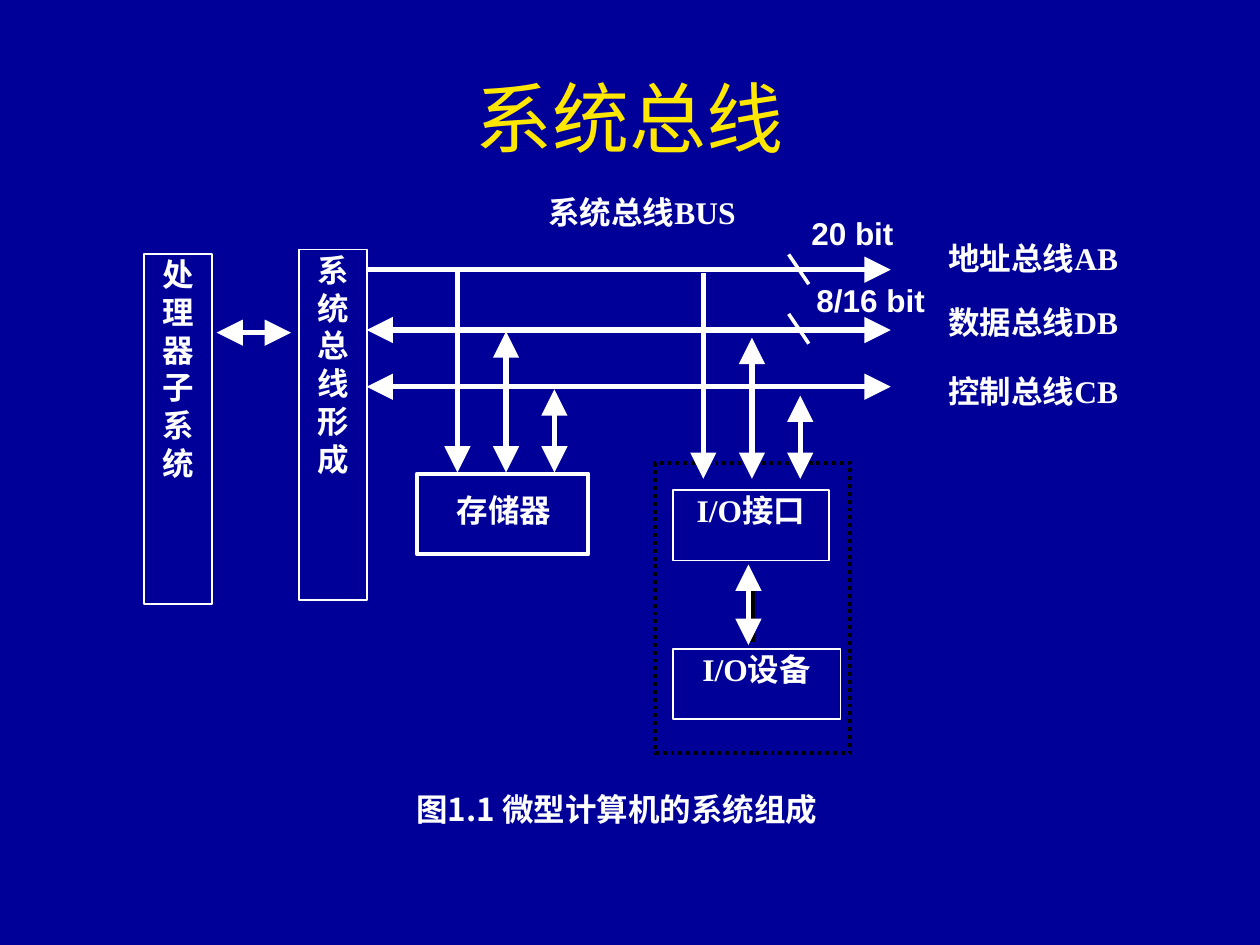
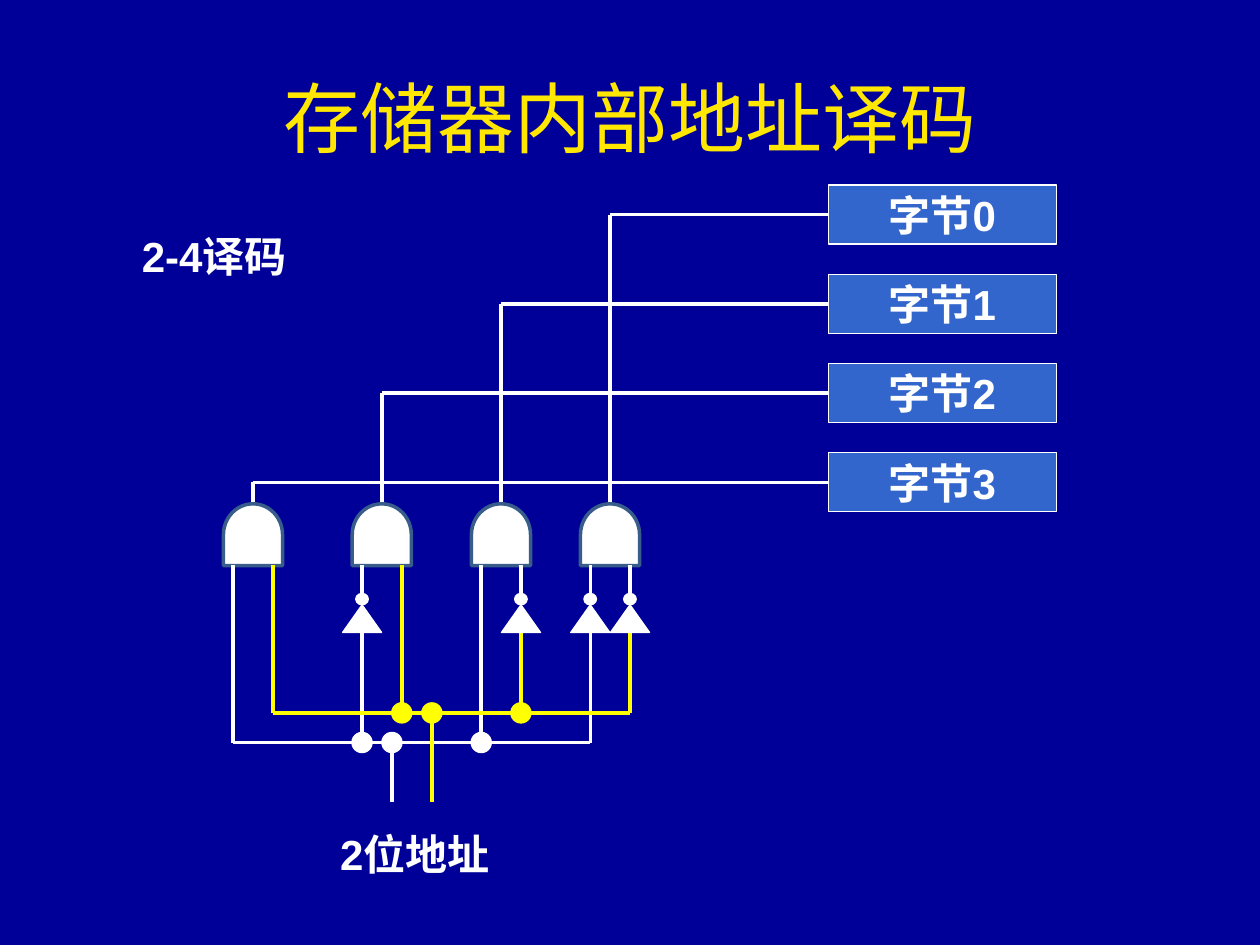
from lxml.etree import SubElement
from pptx import Presentation
from pptx.dml.color import RGBColor
from pptx.enum.dml import MSO_LINE
from pptx.enum.shapes import MSO_CONNECTOR, MSO_SHAPE
from pptx.enum.text import MSO_ANCHOR, MSO_AUTO_SIZE, PP_ALIGN
from pptx.oxml.ns import qn
from pptx.util import Pt

NAVY, GOLD, WHITE, BLACK = "000099", "FFE701", "FFFFFF", "000000"
BLUE, YELLOW, STEEL = "3366CC", "FFFF00", "385D8A"
SERIF, SANS, CJK = "Times New Roman", "Arial", "Noto Sans CJK SC"
THIN, WIRE, BUS = 0.75, 2, 3

# Slide 1: (text, (left, top, width, height))
BUS_TITLE = "系统总线"
BUS_LABELS = [
    ("系统总线BUS", (290.9, 109.4, 151.9, 41.8)),
    ("地址总线AB", (520.6, 135.7, 139.7, 41.8)),
    ("数据总线DB", (520.6, 172.4, 139.7, 41.8)),
    ("控制总线CB", (520.6, 211.7, 139.7, 41.8)),
    ("存储器", (246.2, 280.1, 83.5, 40.3)),
]
UNITS = [
    ("\n".join("处理器子系统"), (82.3, 145, 38.9, 200.2)),
    ("\n".join("系统总线形成"), (170.9, 142.6, 38.9, 200.2)),
    ("I/O接口", (384.5, 280.1, 89.3, 40.3)),
    ("I/O设备", (384.5, 370.8, 95.8, 40.3)),
]
CAPTION = ("图1.1 微型计算机的系统组成", (180.7, 451, 343.4, 46.1))
BIT_WIDTHS = [
    ("20 bit", (456.5, 118.8, 61.2, 28.8)),
    ("8/16 bit", (459.4, 156.8, 76.3, 28.8)),
]
MEMORY_FRAME = (238.3, 270.7, 97.9, 46.1)
IO_FRAME = (374.4, 264.7, 111.6, 165.6)
BUS_LEFT, BUS_RIGHT = 209.5, 509
BUS_LINES = [(154.1, False), (188.6, True), (221, True)]  # y, two-way
TAPS = [(261.4, 152.6, False), (289.2, 189.4, True), (316.8, 222.5, True)]  # x, top, two-way
TAP_GROUPS = [(0, 0, 270), (140.5, 3.6, 273.6)]  # shift right, shift down, bottom
SLASH_TOPS = [145.4, 179.4]

# Slide 2
DECODER_TITLE = "存储器内部地址译码"
DECODER_LABELS = [
    ("2-4译码", (74, 128.2, 103, 36)),
    ("2位地址", (187.2, 469.7, 106, 36)),
]
GATE_CENTRES = [348.6, 286.3, 218.2, 144.6]  # by byte number
BYTE_LEFT, BYTE_TOP, BYTE_STEP, BYTE_WIDTH, BYTE_HEIGHT = 473.3, 105.7, 51, 130.3, 33.8
GATE_LENGTH, GATE_WIDTH, GATE_MIDDLE = 35.3, 33.8, 305.5
GATE_TOP, GATE_BOTTOM = 287.3, 322.6
BUBBLE_TOP, INVERTER_TOP, INVERTER_BOTTOM, PIN_BOTTOM = 339.1, 345.6, 361.8, 458.3
# colour, offset from the gate centre, y of the shared wire, x of the address pin
ADDRESS_BITS = [(WHITE, -11.3, 424.3, 224), (YELLOW, 11.4, 407.4, 246.8)]


def colour(value):
    return RGBColor.from_string(value)


def write(shape, text, size, font, ink=WHITE, bold=True, align=PP_ALIGN.CENTER,
          anchor=MSO_ANCHOR.TOP, inset=(0.72, 0.72), wrap=True):
    frame = shape.text_frame
    frame.text = text
    frame.word_wrap = wrap
    frame.vertical_anchor = anchor
    frame.margin_left = frame.margin_right = Pt(inset[0])
    frame.margin_top = frame.margin_bottom = Pt(inset[1])
    for para in frame.paragraphs:
        para.alignment = align
        for span in para.runs:
            span.font.size, span.font.name, span.font.bold = Pt(size), font, bold
            span.font.color.rgb = colour(ink)


def add_text(page, text, place, size, font, **style):
    box = page.shapes.add_textbox(*map(Pt, place))
    write(box, text, size, font, **style)
    return box


def add_label(page, text, place, size):
    """Place a one-line sans label, left aligned, in a box that grows with it."""
    box = add_text(page, text, place, size, SANS, align=PP_ALIGN.LEFT,
                   inset=(7.2, 3.6), wrap=False)
    box.text_frame.auto_size = MSO_AUTO_SIZE.SHAPE_TO_FIT_TEXT


def add_shape(page, kind, place, fill=None, line=WHITE, width=THIN):
    shape = page.shapes.add_shape(kind, *map(Pt, place))
    shape.shadow.inherit = False
    if fill:
        shape.fill.solid()
        shape.fill.fore_color.rgb = colour(fill)
    else:
        shape.fill.background()
    shape.line.color.rgb = colour(line)
    shape.line.width = Pt(width)
    return shape


def add_line(page, start, end, ink=WHITE, width=WIRE, ends=()):
    """Draw a straight line; ends names the arrowheads, headEnd and/or tailEnd."""
    line = page.shapes.add_connector(MSO_CONNECTOR.STRAIGHT, *map(Pt, (*start, *end)))
    line.line.color.rgb = colour(ink)
    line.line.width = Pt(width)
    properties = line.element.spPr
    for name in ends:
        SubElement(properties.find(qn("a:ln")), qn("a:" + name),
                   type="triangle", w="lg", len="lg")
    SubElement(properties, qn("a:effectLst"))


def add_arrow(page, start, end, two_way=True, ink=WHITE):
    ends = ("headEnd", "tailEnd") if two_way else ("tailEnd",)
    add_line(page, start, end, ink, BUS, ends)


def add_dot(page, x, y, ink, size=11.5):
    add_shape(page, MSO_SHAPE.OVAL, (x - size / 2, y - size / 2, size, size), ink, ink)


def add_page(deck, title):
    page = deck.slides.add_slide(deck.slide_layouts[6])
    page.background.fill.solid()
    page.background.fill.fore_color.rgb = colour(NAVY)
    add_text(page, title, (36, 21.6, 648, 90), 44, SANS, ink=GOLD, bold=False,
             anchor=MSO_ANCHOR.MIDDLE, inset=(7.2, 3.6))
    return page


def build_bus_page(deck):
    page = add_page(deck, BUS_TITLE)
    add_text(page, *CAPTION, 18, CJK)
    for text, place in BUS_LABELS:
        add_text(page, text, place, 18, SERIF)
    for text, place in UNITS:
        write(add_shape(page, MSO_SHAPE.RECTANGLE, place, width=1), text, 18, SERIF)
    io_frame = add_shape(page, MSO_SHAPE.RECTANGLE, IO_FRAME, line=BLACK, width=2.25)
    io_frame.line.dash_style = MSO_LINE.ROUND_DOT
    add_shape(page, MSO_SHAPE.RECTANGLE, MEMORY_FRAME, width=2.25)

    for y, two_way in BUS_LINES:
        add_arrow(page, (BUS_LEFT, y), (BUS_RIGHT, y), two_way)
    add_arrow(page, (166.3, 190.1), (123.8, 190.1))
    for right, down, bottom in TAP_GROUPS:
        for x, top, two_way in TAPS:
            add_arrow(page, (x + right, top + down), (x + right, bottom), two_way)
    # A black line shows as a thin edge beside the white arrow.
    add_line(page, (429.8, 337), (429.8, 367), BLACK, BUS)
    add_arrow(page, (427.7, 322.6), (427.7, 368.6))
    for top in SLASH_TOPS:
        add_line(page, (450.7, top), (462.2, top + 17))
    for text, place in BIT_WIDTHS:
        add_label(page, text, place, 18)


def add_inverter(page, x):
    add_shape(page, MSO_SHAPE.ISOSCELES_TRIANGLE, (x - 11.15, INVERTER_TOP, 22.3, 15.8), WHITE)
    add_shape(page, MSO_SHAPE.OVAL, (x - 3.6, BUBBLE_TOP, 7.2, 6.5), WHITE)
    add_line(page, (x, BUBBLE_TOP), (x, GATE_BOTTOM))


def add_address_bit(page, bit, ink, offset, bus_y, pin_x):
    """Wire one address bit to every gate, inverted where the byte number has a 0."""
    inputs = [centre + offset for centre in GATE_CENTRES]
    add_line(page, (min(inputs), bus_y), (max(inputs), bus_y), ink)
    add_line(page, (pin_x, PIN_BOTTOM), (pin_x, bus_y), ink)
    for number, x in enumerate(inputs):
        inverted = not number >> bit & 1
        add_line(page, (x, bus_y), (x, INVERTER_BOTTOM if inverted else GATE_BOTTOM), ink)
        if inverted:
            add_inverter(page, x)
    for x in (pin_x, *inputs[1:-1]):
        add_dot(page, x, bus_y, ink)


def build_decoder_page(deck):
    page = add_page(deck, DECODER_TITLE)
    for text, place in DECODER_LABELS:
        add_label(page, text, place, 24)
    for number, centre in enumerate(GATE_CENTRES):
        top = BYTE_TOP + number * BYTE_STEP
        byte = add_shape(page, MSO_SHAPE.RECTANGLE,
                         (BYTE_LEFT, top, BYTE_WIDTH, BYTE_HEIGHT), BLUE)
        write(byte, f"字节{number}", 24, SANS, anchor=MSO_ANCHOR.MIDDLE,
              inset=(7.2, 3.6), wrap=False)
        wire_y = top + BYTE_HEIGHT / 2
        add_line(page, (centre, GATE_TOP), (centre, wire_y))
        add_line(page, (centre, wire_y), (BYTE_LEFT, wire_y))
        gate = add_shape(page, MSO_SHAPE.FLOWCHART_DELAY,
                         (centre - GATE_LENGTH / 2, GATE_MIDDLE - GATE_WIDTH / 2,
                          GATE_LENGTH, GATE_WIDTH), WHITE, STEEL, WIRE)
        gate.rotation = 270
    for bit, wiring in enumerate(ADDRESS_BITS):
        add_address_bit(page, bit, *wiring)


def main():
    deck = Presentation()
    deck.slide_width, deck.slide_height = Pt(720), Pt(540)
    build_bus_page(deck)
    build_decoder_page(deck)
    deck.save("out.pptx")


if __name__ == "__main__":
    main()
